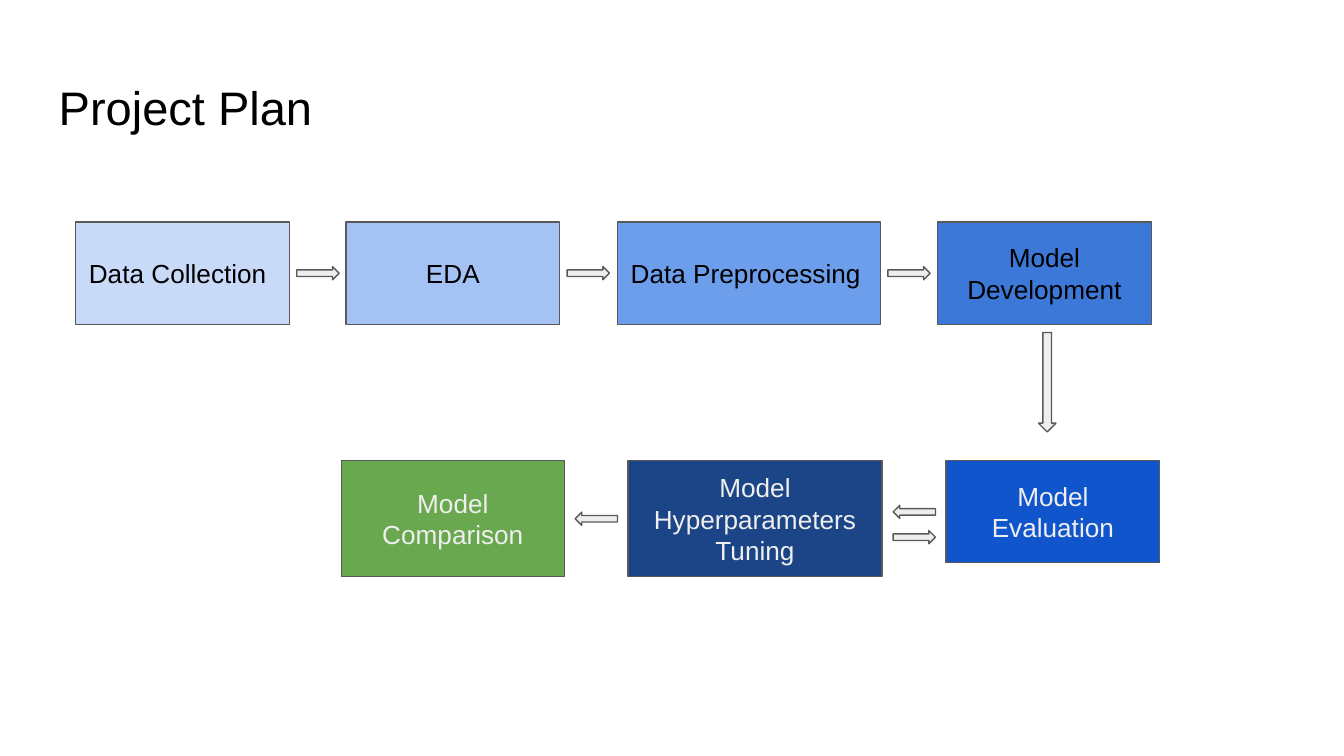
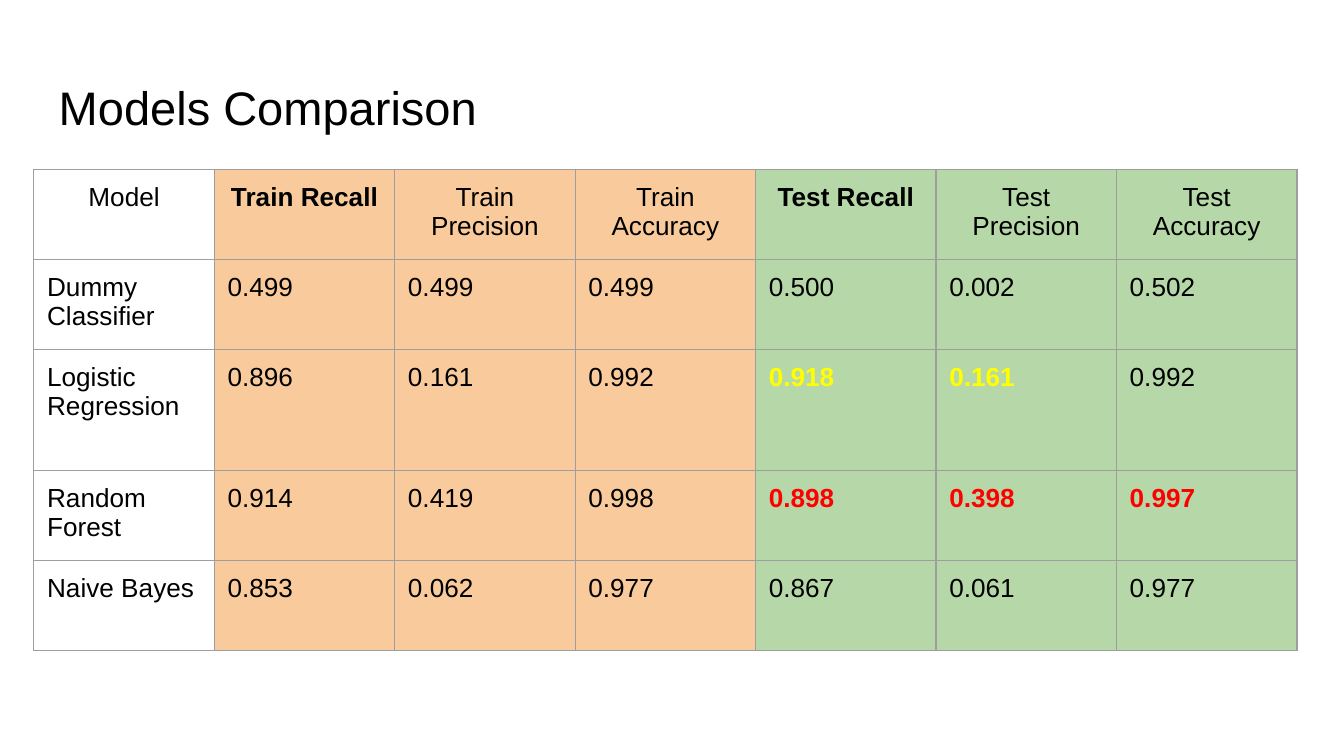
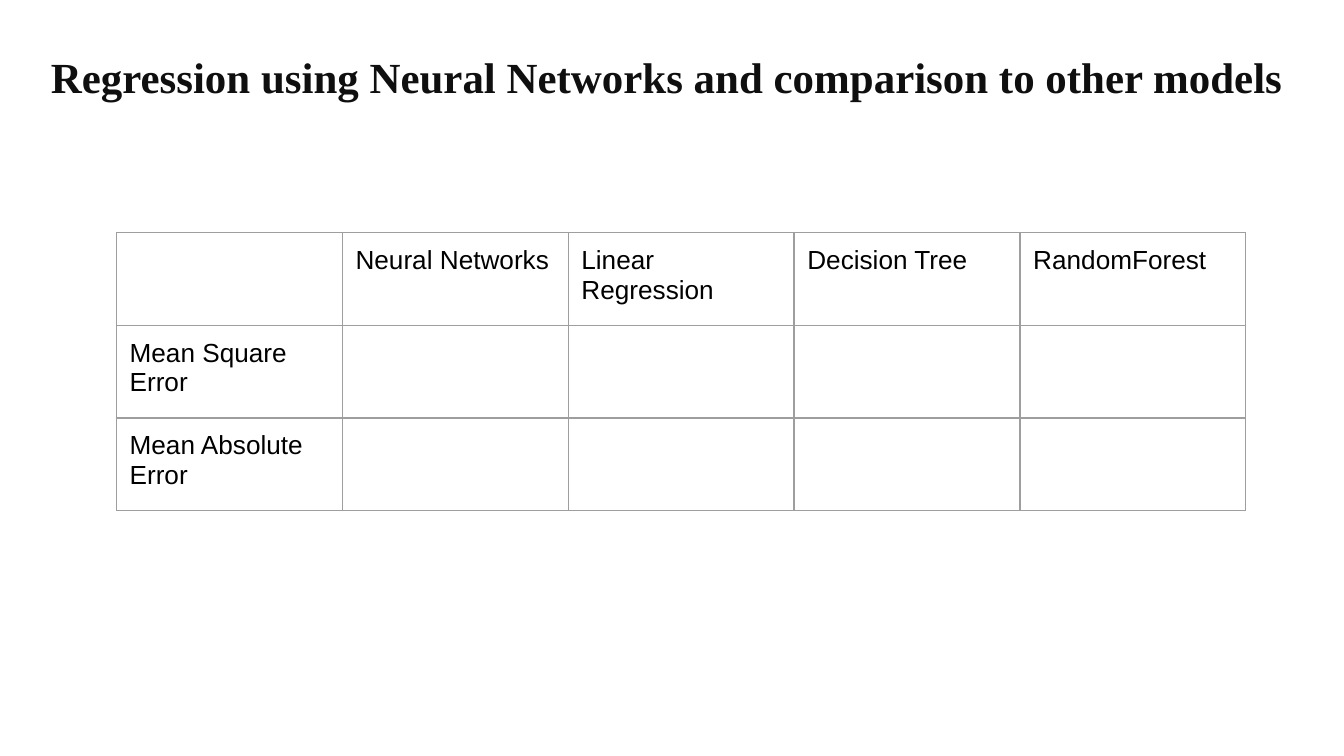
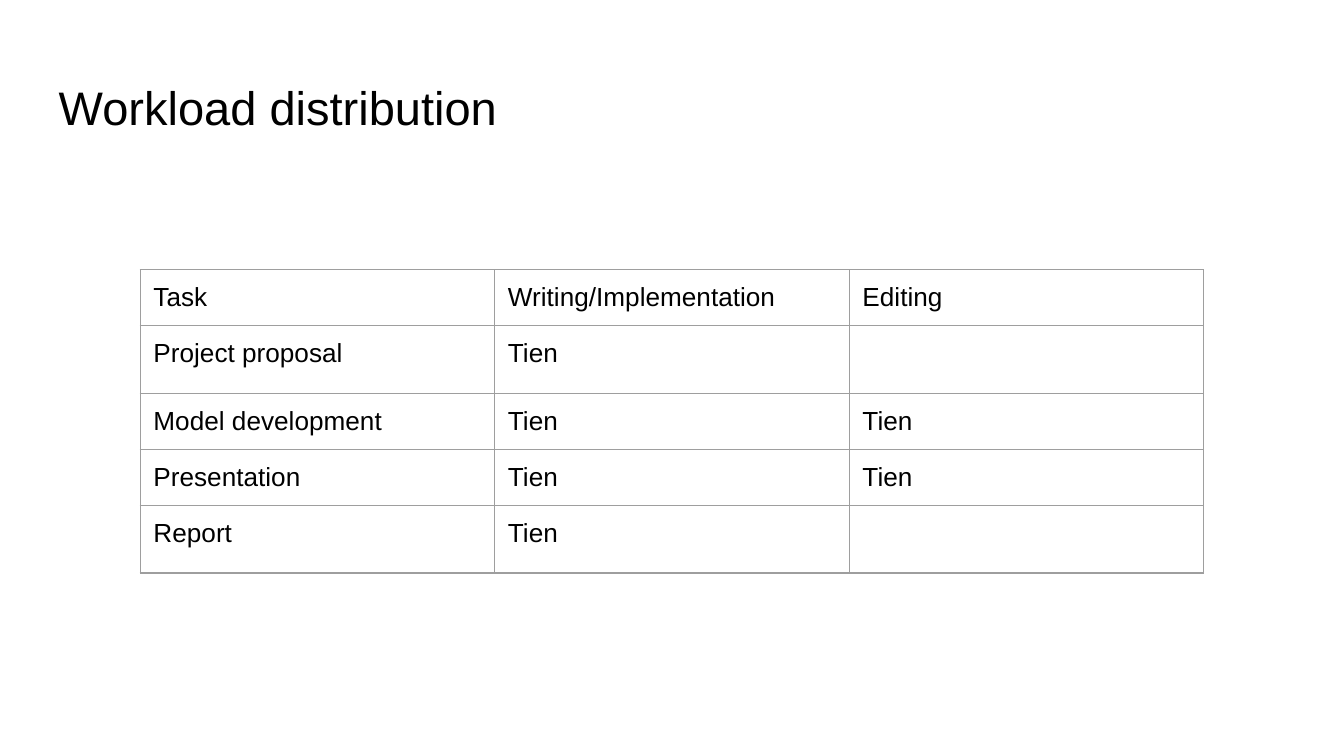
from lxml.etree import SubElement
from pptx import Presentation
from pptx.dml.color import RGBColor
from pptx.enum.shapes import MSO_SHAPE
from pptx.enum.text import MSO_ANCHOR, MSO_AUTO_SIZE, PP_ALIGN
from pptx.oxml.ns import qn
from pptx.util import Cm, Pt

BLACK, PALE, OUTLINE, GRID = "000000", "EFEFEF", "595959", "9E9E9E"
TRAIN, TEST = "F9CB9C", "B6D7A8"
MARGINS = {side: Cm(0.25) for side in
           ("margin_left", "margin_right", "margin_top", "margin_bottom")}
BODY_FONT = {"name": "Arial", "size": Pt(14), "bold": False}


def rgb(hex_code):
    return RGBColor.from_string(hex_code)


def add_grid(slide, left, top, column_width, row_heights, rows):
    """Add a plain outlined table, with lengths in centimetres."""
    columns = len(rows[0])
    table = slide.shapes.add_table(
        len(rows), columns, Cm(left), Cm(top),
        Cm(column_width * columns), Cm(sum(row_heights))).table
    table.first_row = table.horz_banding = False
    for column in table.columns:
        column.width = Cm(column_width)
    for row, height in zip(table.rows, row_heights):
        row.height = Cm(height)
    for cell, words in zip(table.iter_cells(), sum(rows, [])):
        for name, value in MARGINS.items():
            setattr(cell, name, value)
        properties = cell._tc.get_or_add_tcPr()
        for side in ("lnL", "lnR", "lnT", "lnB"):
            border = SubElement(properties, qn(f"a:{side}"), w=str(Pt(0.75)))
            solid = SubElement(border, qn("a:solidFill"))
            SubElement(solid, qn("a:srgbClr"), val=GRID)
        cell.fill.background()
        if words:
            cell.text = words
            font = cell.text_frame.paragraphs[0].runs[0].font
            for name, value in BODY_FONT.items():
                setattr(font, name, value)
            font.color.rgb = rgb(BLACK)
    return table


deck = Presentation()
deck.slide_width, deck.slide_height = Cm(25.4), Cm(14.29)

# Slides and their titles
PLAIN_TITLE = {"name": "Arial", "size": Pt(25.2), "bold": False}
SERIF_TITLE = {"name": "Times New Roman", "size": Pt(23), "bold": True}
PLAIN_PLACE = (0.86, 1.24, 23.67, 1.6)
SERIF_PLACE = (0.71, 0.56, 24.54, 1.93)
titles = [
    ("Project Plan", PLAIN_PLACE, PLAIN_TITLE, BLACK, 1.0),
    ("Models Comparison", PLAIN_PLACE, PLAIN_TITLE, BLACK, 1.0),
    ("Regression using Neural Networks and comparison to other models",
     SERIF_PLACE, SERIF_TITLE, "0F0F0F", 1.15),
    ("Workload distribution", PLAIN_PLACE, PLAIN_TITLE, BLACK, 1.0),
]
for words, place, title_font, color, spacing in titles:
    title = deck.slides.add_slide(deck.slide_layouts[5]).shapes.title
    title.left, title.top, title.width, title.height = map(Cm, place)
    frame = title.text_frame
    frame.text = words
    frame_format = {**MARGINS, "vertical_anchor": MSO_ANCHOR.TOP,
                    "auto_size": MSO_AUTO_SIZE.NONE, "word_wrap": True}
    for name, value in frame_format.items():
        setattr(frame, name, value)
    paragraph = frame.paragraphs[0]
    paragraph.alignment = PP_ALIGN.LEFT
    paragraph.line_spacing = spacing
    font = paragraph.runs[0].font
    for name, value in title_font.items():
        setattr(font, name, value)
    font.color.rgb = rgb(color)
plan, models, regression, workload = deck.slides

# Project plan: the steps
LEFT, CENTER = PP_ALIGN.LEFT, PP_ALIGN.CENTER
steps = [
    ("Data Collection", 1.43, 4.2, 4.04, 1.93, "C9DAF8", BLACK, LEFT),
    ("EDA", 6.54, 4.2, 4.04, 1.93, "A4C2F4", BLACK, CENTER),
    ("Data Preprocessing", 11.67, 4.2, 4.97, 1.93, "6D9EEB", BLACK, LEFT),
    ("Model Development", 17.72, 4.2, 4.04, 1.93, "3C78D8", BLACK, CENTER),
    ("Model Evaluation", 17.88, 8.71, 4.04, 1.93, "1155CC", PALE, CENTER),
    ("Model Hyperparameters Tuning", 11.87, 8.71, 4.8, 2.19, "1C4587", PALE, CENTER),
    ("Model Comparison", 6.45, 8.71, 4.22, 2.19, "6AA84F", PALE, CENTER),
]
for words, left, top, width, height, fill, color, alignment in steps:
    step = plan.shapes.add_shape(
        MSO_SHAPE.RECTANGLE, Cm(left), Cm(top), Cm(width), Cm(height))
    step.shadow.inherit = False
    step.fill.solid()
    step.fill.fore_color.rgb = rgb(fill)
    step.line.color.rgb = rgb(OUTLINE)
    step.line.width = Pt(0.75)
    frame = step.text_frame
    frame.text = words
    for name, value in {**MARGINS, "vertical_anchor": MSO_ANCHOR.MIDDLE}.items():
        setattr(frame, name, value)
    paragraph = frame.paragraphs[0]
    paragraph.alignment = alignment
    font = paragraph.runs[0].font
    for name, value in BODY_FONT.items():
        setattr(font, name, value)
    font.color.rgb = rgb(color)

# Project plan: the block arrows, each following the first three steps and so on
arrows = [(left + width + 0.14, 5.04, 0.8, 0.25, 0)
          for _, left, _, width, *_ in steps[:3]]
arrows += [
    (18.85, 7.06, 1.88, 0.33, 90),
    (16.88, 9.55, 0.8, 0.25, 180),
    (10.87, 9.68, 0.8, 0.25, 180),
    (16.88, 10.03, 0.8, 0.25, 0),
]
for left, top, width, height, rotation in arrows:
    arrow = plan.shapes.add_shape(
        MSO_SHAPE.RIGHT_ARROW, Cm(left), Cm(top), Cm(width), Cm(height))
    arrow.rotation = rotation
    arrow.shadow.inherit = False
    arrow.fill.solid()
    arrow.fill.fore_color.rgb = rgb("EEEEEE")
    arrow.line.color.rgb = rgb(OUTLINE)
    arrow.line.width = Pt(0.75)

# Models comparison
scores = add_grid(models, 0.64, 3.2, 3.41, [1.7, 1.7, 2.29, 1.7, 1.7], [
    ["Model", "Train Recall", "Train Precision", "Train Accuracy",
     "Test Recall", "Test Precision", "Test Accuracy"],
    ["Dummy Classifier", "0.499", "0.499", "0.499", "0.500", "0.002", "0.502"],
    ["Logistic Regression", "0.896", "0.161", "0.992", "0.918", "0.161", "0.992"],
    ["Random Forest", "0.914", "0.419", "0.998", "0.898", "0.398", "0.997"],
    ["Naive Bayes", "0.853", "0.062", "0.977", "0.867", "0.061", "0.977"],
])
for column in range(7):
    scores.cell(0, column).text_frame.paragraphs[0].alignment = CENTER
    if column:
        for row in range(5):
            fill = scores.cell(row, column).fill
            fill.solid()
            fill.fore_color.rgb = rgb(TRAIN if column < 4 else TEST)
highlights = [
    (0, (1, 4), BLACK),
    (2, (4, 5), "FFFF00"),
    (3, (4, 5, 6), "FF0000"),
]
for row, columns, color in highlights:
    for column in columns:
        font = scores.cell(row, column).text_frame.paragraphs[0].runs[0].font
        font.bold = True
        font.color.rgb = rgb(color)

# Regression errors, still to be filled in
add_grid(regression, 2.2, 4.4, 4.27, [1.75] * 3, [
    ["", "Neural Networks", "Linear Regression", "Decision Tree", "RandomForest"],
    ["Mean Square Error", "", "", "", ""],
    ["Mean Absolute Error", "", "", "", ""],
])

# Workload distribution
add_grid(workload, 2.65, 5.1, 6.7, [1.06, 1.23, 1.06, 1.06, 1.23], [
    ["Task", "Writing/Implementation", "Editing"],
    ["Project proposal", "Tien", ""],
    ["Model development", "Tien", "Tien"],
    ["Presentation", "Tien", "Tien"],
    ["Report", "Tien", ""],
])

deck.save("out.pptx")
